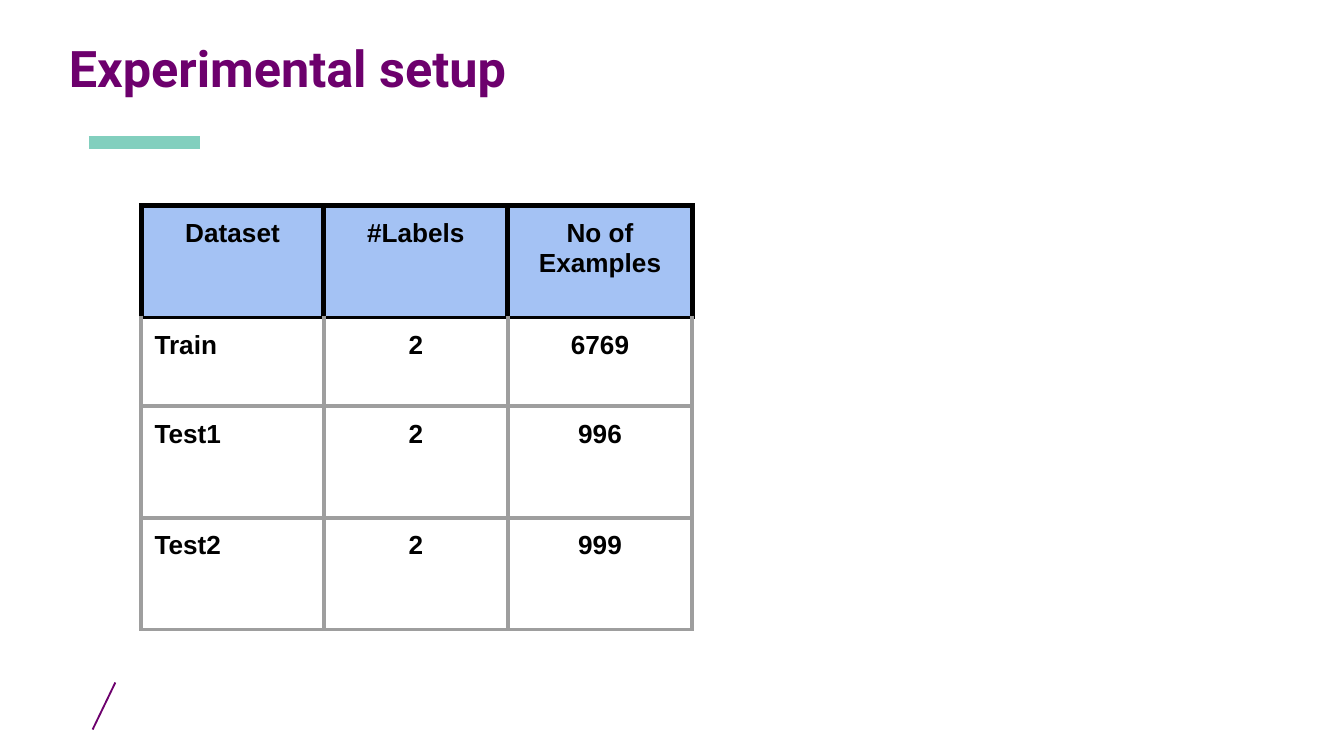
from lxml.etree import SubElement
from pptx import Presentation
from pptx.dml.color import RGBColor
from pptx.enum.shapes import MSO_CONNECTOR
from pptx.enum.text import MSO_ANCHOR, MSO_AUTO_SIZE, PP_ALIGN
from pptx.oxml.ns import qn
from pptx.util import Cm, Pt

PURPLE = RGBColor(0x6D, 0x00, 0x6D)
MINT = RGBColor(0x82, 0xCF, 0xBE)
BLUE = RGBColor(0xA4, 0xC2, 0xF4)
GREY = RGBColor(0x9E, 0x9E, 0x9E)
BLACK = RGBColor(0x00, 0x00, 0x00)

TITLE_BOX = (1.3, 0.46, 16.43, 1.4)
ACCENT_BOX = (1.68, 2.69, 2.1, 0)
SLASH_BOX = (2.18, 12.9, -0.43, 0.89)
TABLE_BOX = (2.67, 3.89, 10.41, 8.01)

COLUMN_WIDTHS = (3.45, 3.48, 3.48)
ROW_HEIGHTS = (2.11, 1.68, 2.11, 2.11)
DATASETS = (
    ("Dataset", "#Labels", "No of Examples"),
    ("Train", "2", "6769"),
    ("Test1", "2", "996"),
    ("Test2", "2", "999"),
)


def style_font(font, name, size, color):
    """Set a bold font."""
    font.name, font.size, font.bold = name, Pt(size), True
    font.color.rgb = color


def add_title(page, box, text):
    """Move the title placeholder into the box and format it."""
    title = page.shapes.title
    title.left, title.top, title.width, title.height = map(Cm, box)
    frame = title.text_frame
    frame.text = text
    frame.auto_size = MSO_AUTO_SIZE.NONE
    frame.word_wrap = True
    frame.vertical_anchor = MSO_ANCHOR.BOTTOM
    frame.margin_left = frame.margin_right = frame.margin_top = frame.margin_bottom = 0
    para = frame.paragraphs[0]
    para.alignment = PP_ALIGN.LEFT
    para.line_spacing = 0.9
    para.space_before = Pt(0)
    style_font(para.runs[0].font, "Roboto", 27, PURPLE)


def add_rule(page, box, color, weight):
    """Draw a line from the start of the box to its opposite corner."""
    left, top, width, height = box
    rule = page.shapes.add_connector(
        MSO_CONNECTOR.STRAIGHT, Cm(left), Cm(top), Cm(left + width), Cm(top + height))
    rule.line.color.rgb = color
    rule.line.width = Pt(weight)
    SubElement(rule._element.spPr, qn("a:effectLst"))


def set_borders(cell, borders):
    """Give a cell its borders, as (side, color, weight)."""
    properties = cell._tc.get_or_add_tcPr()
    for side, color, weight in borders:
        line = SubElement(properties, qn(f"a:ln{side}"), w=str(Pt(weight)))
        fill = SubElement(line, qn("a:solidFill"))
        SubElement(fill, qn("a:srgbClr"), val=str(color))


def fill_cell(cell, text, is_header, is_name, below_header):
    """Write one cell and set its borders, fill and text format."""
    color, weight = (BLACK, 3) if is_header else (GREY, 2.25)
    top_color = BLACK if below_header else color
    set_borders(cell, (("L", color, weight), ("R", color, weight),
                       ("T", top_color, weight), ("B", color, 2.25)))
    if is_header:
        cell.fill.solid()
        cell.fill.fore_color.rgb = BLUE
    else:
        cell.fill.background()
    cell.margin_left = cell.margin_right = cell.margin_top = cell.margin_bottom = Cm(0.25)
    cell.text_frame.text = text
    para = cell.text_frame.paragraphs[0]
    para.alignment = PP_ALIGN.LEFT if is_name and not is_header else PP_ALIGN.CENTER
    style_font(para.runs[0].font, "Arial", 14, BLACK)


def add_dataset_table(page, box, rows):
    """Place the dataset table in the box."""
    table = page.shapes.add_table(len(rows), len(rows[0]), *map(Cm, box)).table
    table.first_row = table.horz_banding = False
    for column, width in zip(table.columns, COLUMN_WIDTHS):
        column.width = Cm(width)
    for row, height in zip(table.rows, ROW_HEIGHTS):
        row.height = Cm(height)
    for r, values in enumerate(rows):
        for c, text in enumerate(values):
            fill_cell(table.cell(r, c), text, r == 0, c == 0, r == 1)


def build_setup_slide(deck):
    """Add the slide with the experimental setup."""
    page = deck.slides.add_slide(deck.slide_layouts[5])
    add_rule(page, SLASH_BOX, PURPLE, 1)
    add_rule(page, ACCENT_BOX, MINT, 7)
    add_title(page, TITLE_BOX, "Experimental setup")
    add_dataset_table(page, TABLE_BOX, DATASETS)


deck = Presentation()
deck.slide_width, deck.slide_height = Cm(25.4), Cm(14.29)
build_setup_slide(deck)
deck.save("out.pptx")
